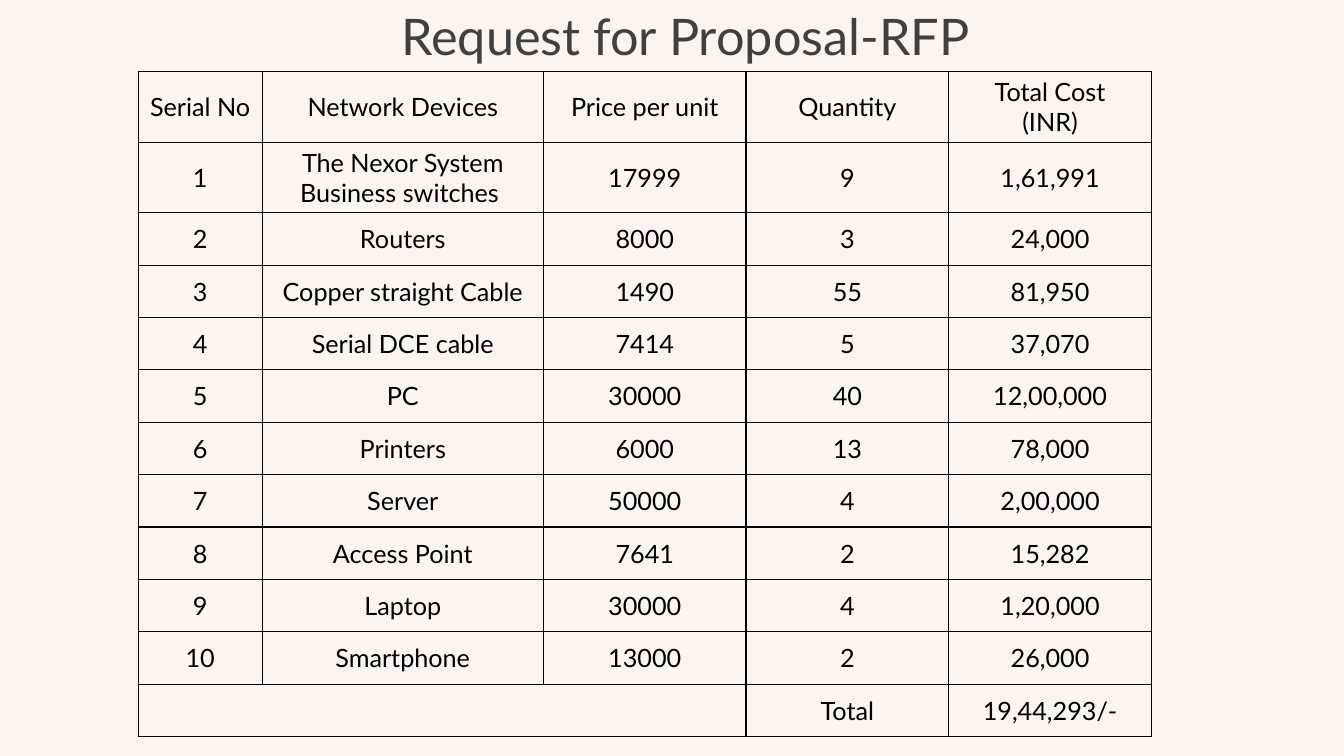
from dataclasses import dataclass

from lxml import etree
from pptx import Presentation
from pptx.dml.color import RGBColor
from pptx.enum.text import MSO_ANCHOR, MSO_AUTO_SIZE, PP_ALIGN
from pptx.oxml.ns import qn
from pptx.util import Inches, Pt

LEFT, CENTER = PP_ALIGN.LEFT, PP_ALIGN.CENTER
TOP, MIDDLE = MSO_ANCHOR.TOP, MSO_ANCHOR.MIDDLE
NO_FIT = MSO_AUTO_SIZE.NONE
TITLE_ONLY = 5


@dataclass(frozen=True)
class Theme:
    """Colours, type sizes and line widths of the deck."""
    font: str = "Lato"
    background: str = "FBF4EF"
    title_color: str = "404040"
    ink: str = "000000"
    title_size: int = 36
    body_size: int = 18
    rule_width: int = 1


THEME = Theme()
TITLE_BOX = (3.88, 0, 6.67, 0.71)
TABLE_BOX = (1.37, 0.71, 10.05, 6.6)
COLUMN_WIDTHS = [1.23, 2.79] + [2.01] * 3
ROW_HEIGHTS = [0.7] * 2 + [0.52] * 10

HEADER = ("Serial No", "Network Devices", "Price per unit", "Quantity",
          "Total Cost\n(INR)")
DEVICES = [
    ("The Nexor System Business switches ", "17999", "9", "1,61,991"),
    ("Routers", "8000", "3", "24,000"),
    ("Copper straight Cable", "1490", "55", "81,950"),
    ("Serial DCE cable", "7414", "5", "37,070"),
    ("PC", "30000", "40", "12,00,000"),
    ("Printers", "6000", "13", "78,000"),
    ("Server", "50000", "4", "2,00,000"),
    ("Access Point", "7641", "2", "15,282"),
    ("Laptop", "30000", "4", "1,20,000"),
    ("Smartphone", "13000", "2", "26,000"),
]
TOTAL = ("", "", "", "Total", "19,44,293/-")


def set_attributes(target, values):
    """Set each named attribute of the target."""
    for name, value in values.items():
        setattr(target, name, value)


def format_text(frame, size, color, alignment):
    """Give every paragraph one font, size, colour and alignment."""
    for para in frame.paragraphs:
        para.alignment = alignment
        for span in para.runs:
            set_attributes(span.font, {"name": THEME.font, "size": Pt(size)})
            span.font.color.rgb = RGBColor.from_string(color)


def add_borders(cell):
    """Rule all four sides of a table cell."""
    properties = cell._tc.get_or_add_tcPr()
    for side in ("lnL", "lnR", "lnT", "lnB"):
        line = etree.SubElement(properties, qn(f"a:{side}"),
                                w=str(Pt(THEME.rule_width)))
        fill = etree.SubElement(line, qn("a:solidFill"))
        etree.SubElement(fill, qn("a:srgbClr"), val=THEME.ink)


def place_title(page, box, text):
    """Fill the title placeholder and fit it to the box."""
    title = page.shapes.title
    left, top, width, height = map(Inches, box)
    set_attributes(title, {"left": left, "top": top,
                           "width": width, "height": height})
    frame = title.text_frame
    set_attributes(frame, {"text": text, "word_wrap": True,
                           "auto_size": NO_FIT, "vertical_anchor": TOP})
    format_text(frame, THEME.title_size, THEME.title_color, LEFT)


def place_cost_table(page, box, rows):
    """Draw the ruled cost table in the box, with a merged total row."""
    table = page.shapes.add_table(len(rows), len(HEADER),
                                  *map(Inches, box)).table
    set_attributes(table, {"first_row": False, "horz_banding": False})
    for column, width in zip(table.columns, COLUMN_WIDTHS):
        column.width = Inches(width)
    for row, height, values in zip(table.rows, ROW_HEIGHTS, rows):
        row.height = Inches(height)
        for cell, value in zip(row.cells, values):
            set_attributes(cell, {"text": value, "vertical_anchor": MIDDLE})
            format_text(cell.text_frame, THEME.body_size, THEME.ink, CENTER)
            add_borders(cell)
            cell.fill.background()
    last = len(rows) - 1
    table.cell(last, 0).merge(table.cell(last, 2))


def build_proposal_slide(deck):
    """Add the request for proposal slide."""
    page = deck.slides.add_slide(deck.slide_layouts[TITLE_ONLY])
    fill = page.background.fill
    fill.solid()
    fill.fore_color.rgb = RGBColor.from_string(THEME.background)
    place_title(page, TITLE_BOX, "Request for Proposal-RFP")
    numbered = [(str(serial), *device)
                for serial, device in enumerate(DEVICES, 1)]
    place_cost_table(page, TABLE_BOX, [HEADER, *numbered, TOTAL])


def main():
    """Build and save the deck."""
    deck = Presentation()
    set_attributes(deck, {"slide_width": Inches(13.33),
                          "slide_height": Inches(7.5)})
    build_proposal_slide(deck)
    deck.save("out.pptx")


if __name__ == "__main__":
    main()
